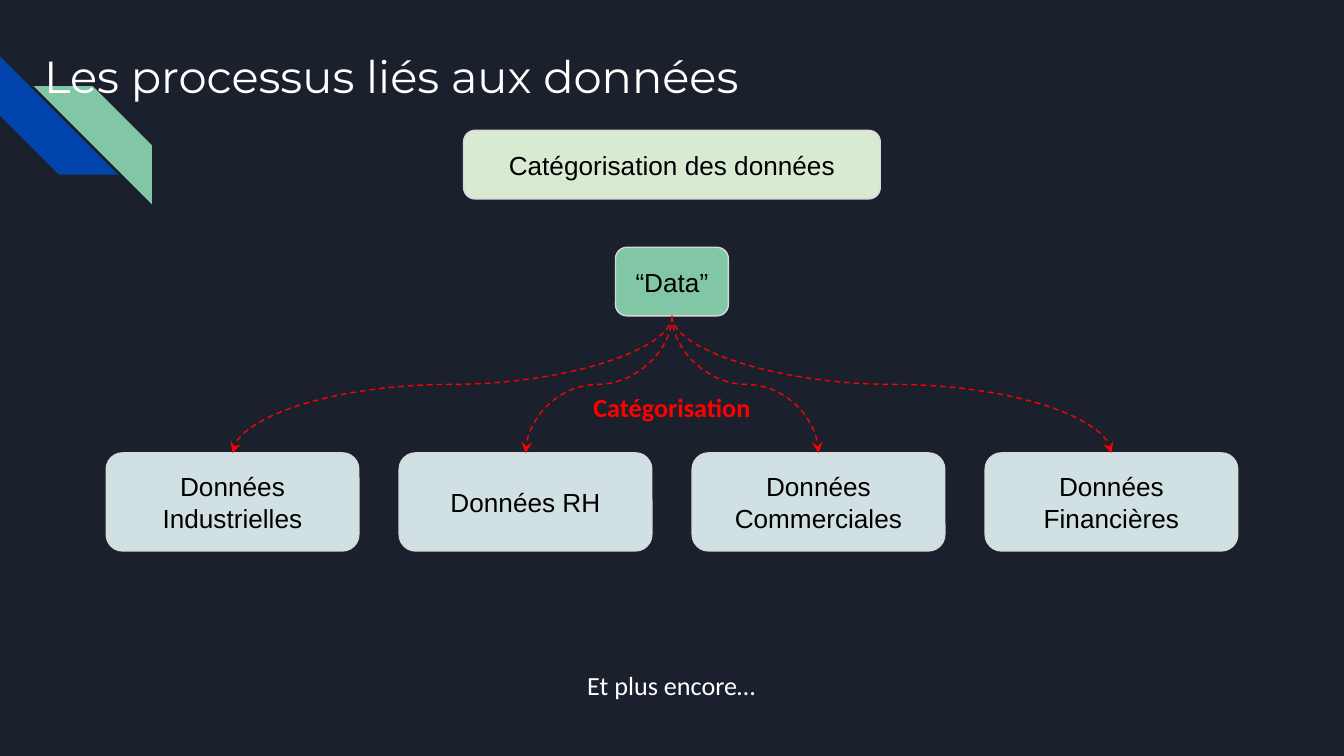
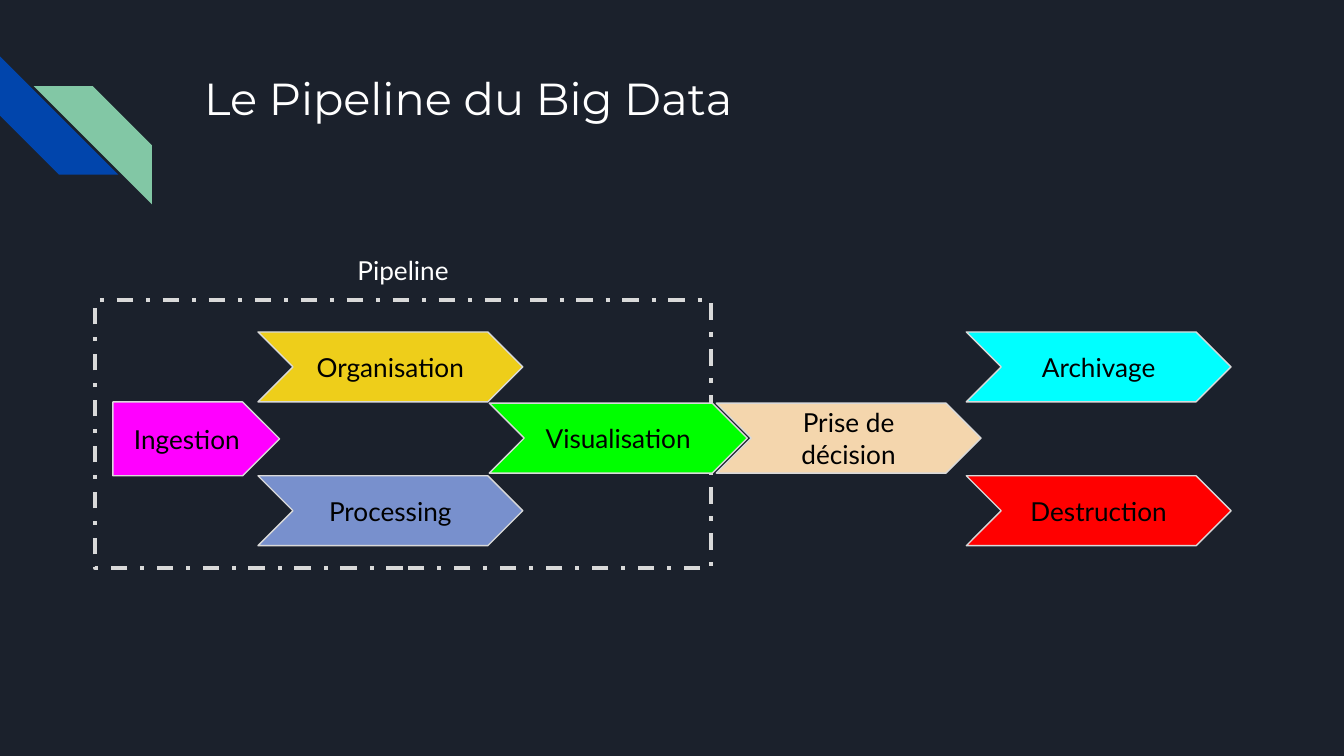
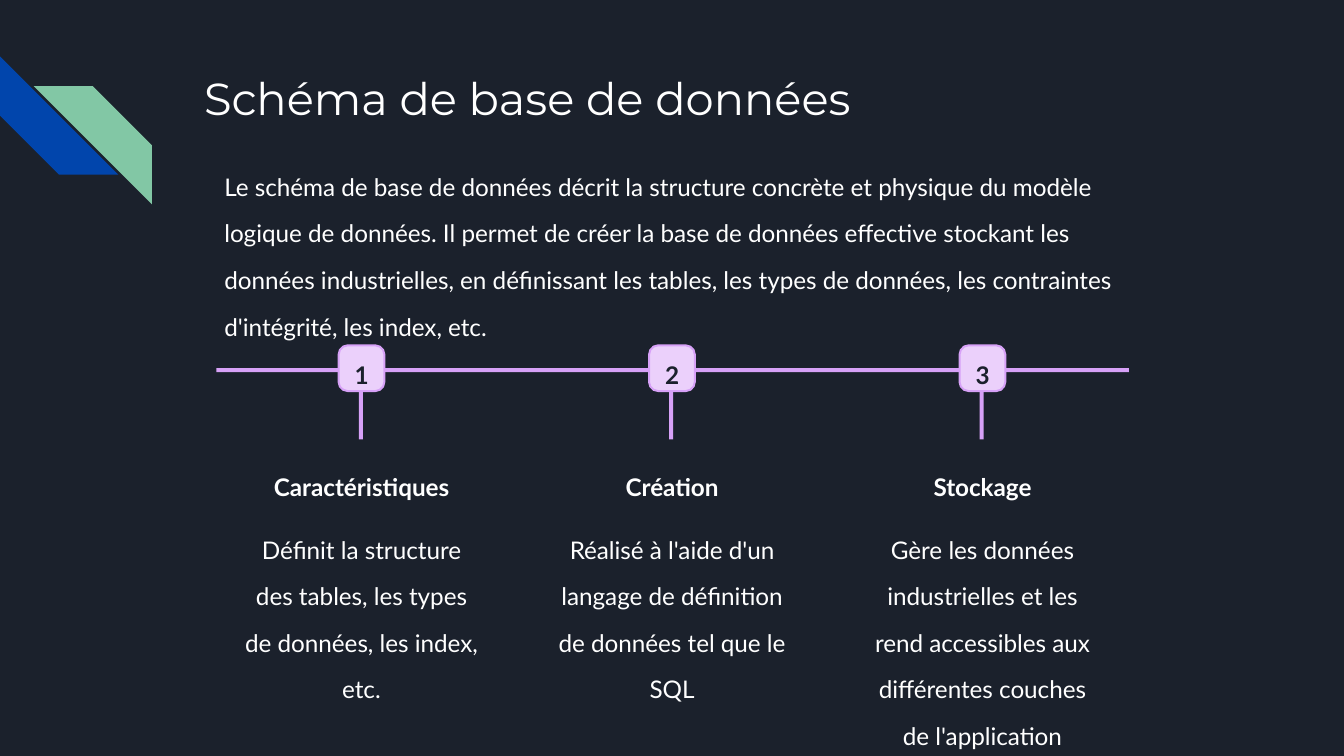
from dataclasses import dataclass
from typing import Any

from lxml import etree
from pptx import Presentation
from pptx import util as u
from pptx.dml import color
from pptx.enum import dml, shapes, text
from pptx.oxml import ns

KIND = shapes.MSO_SHAPE
DASH = dml.MSO_LINE
MID = text.MSO_ANCHOR.MIDDLE
TOP = text.MSO_ANCHOR.TOP
LEFT = text.PP_ALIGN.LEFT
MAIN = text.PP_ALIGN.CENTER

NIGHT, WHITE, BLACK = "1B212C", "FFFFFF", "000000"
BLUE, GREEN, GREY, RED = "0145AC", "82C7A5", "D9D9D9", "FF0000"
MAUVE, PALE = "D7A1F7", "EBD0FB"


@dataclass
class Font:
    name: str
    size: float = 14
    ink: str = WHITE
    bold: bool = False
    align: Any = MAIN
    space: float = 1.0
    pad: tuple = (0.1, 0.1)


@dataclass
class Box:
    left: float
    top: float
    width: float
    height: float
    label: str = ""
    kind: Any = KIND.RECTANGLE
    fill: str = ""
    edge: str = ""
    weight: float = 0.75
    dash: Any = None
    round: float = 0.0


@dataclass
class Step:
    title: str
    body: str
    height: float = 0.73


TITLE = Font("Montserrat", 24, align=LEFT)
ARIAL = Font("Arial", ink=BLACK)
LATO = Font("Lato", ink=BLACK)
SMALL = (0.06, 0.03)
INTRO = Font("Lato", 13, align=LEFT, space=1.6, pad=SMALL)
BODY = Font("Lato", 13, space=1.6, pad=SMALL)
HEAD = Font("Lato", 13, bold=True, space=1.25, pad=SMALL)
DIGIT = Font("Lato", 13, NIGHT, True, space=1.25, pad=SMALL)


def rgb(code: str) -> color.RGBColor:
    return color.RGBColor.from_string(code)


def apply(item: Any, values: dict) -> None:
    for name, value in values.items():
        setattr(item, name, value)


def place(box: Box) -> list:
    return [u.Inches(n) for n in (box.left, box.top, box.width, box.height)]


def write(shape: Any, label: str, font: Font, anchor: Any) -> None:
    frame = shape.text_frame
    wide, high = (u.Inches(n) for n in font.pad)
    apply(frame, {
        "word_wrap": True, "vertical_anchor": anchor,
        "margin_left": wide, "margin_right": wide,
        "margin_top": high, "margin_bottom": high,
    })
    para = frame.paragraphs[0]
    run = para.add_run()
    run.text = label
    apply(para, {"alignment": font.align, "line_spacing": font.space})
    apply(run.font, {"name": font.name, "size": u.Pt(font.size), "bold": font.bold})
    run.font.color.rgb = rgb(font.ink)


def draw(slide: Any, box: Box, font: Font = LATO) -> Any:
    shape = slide.shapes.add_shape(box.kind, *place(box))
    shape.shadow.inherit = False
    if box.fill:
        shape.fill.solid()
        shape.fill.fore_color.rgb = rgb(box.fill)
    else:
        shape.fill.background()
    if box.edge:
        shape.line.color.rgb = rgb(box.edge)
        apply(shape.line, {"width": u.Pt(box.weight), "dash_style": box.dash})
    else:
        shape.line.fill.background()
    if box.round:
        shape.adjustments[0] = box.round
    if box.label:
        write(shape, box.label, font, MID)
    return shape


def note(slide: Any, box: Box, font: Font) -> None:
    write(slide.shapes.add_textbox(*place(box)), box.label, font, TOP)


def curve(slide: Any, start: Any, end: Any) -> None:
    line = slide.shapes.add_connector(shapes.MSO_CONNECTOR.CURVE, 0, 0, 0, 0)
    line.begin_connect(start, 2)
    line.end_connect(end, 0)
    x, y = start.left + start.width // 2, start.top + start.height
    span, drop = end.left + end.width // 2 - x, end.top - y
    wide = abs(span)
    apply(line, {
        "left": x + (span - drop) // 2, "top": y + (drop - wide) // 2,
        "width": drop, "height": wide,
    })
    props = line._element.spPr
    turn, flip = ("5400000", "0") if span < 0 else ("16200000", "1")
    for name, value in {"rot": turn, "flipH": flip, "flipV": "0"}.items():
        props.xfrm.set(name, value)
    line.line.color.rgb = rgb(RED)
    apply(line.line, {"width": u.Pt(0.75), "dash_style": DASH.DASH})
    etree.SubElement(props.find(ns.qn("a:ln")), ns.qn("a:tailEnd"), type="stealth")
    etree.SubElement(props, ns.qn("a:effectLst"))


def start(deck: Any, title: str, left: float = 1.42, top: float = 0.43,
          width: float = 7.7, height: float = 1) -> Any:
    slide = deck.slides.add_slide(deck.slide_layouts[6])
    stripe = KIND.DIAGONAL_STRIPE
    blue = draw(slide, Box(0, 0.42, 0.88, 0.88, kind=stripe, fill=BLUE))
    blue.rotation = 270
    green = draw(slide, Box(0.25, 0.64, 0.88, 0.88, kind=stripe, fill=GREEN))
    green._element.spPr.xfrm.set("flipH", "1")
    note(slide, Box(left, top, width, height, title), TITLE)
    return slide


def sorts(deck: Any) -> None:
    slide = start(deck, "Les processus liés aux données", 0.23, 0.26, 8.21, 1.04)
    pill = KIND.ROUNDED_RECTANGLE
    draw(slide, Box(3.45, 0.97, 3.1, 0.51, "Catégorisation des données",
                    pill, "D9EAD3", GREY), ARIAL)
    data = draw(slide, Box(4.58, 1.84, 0.84, 0.51, "“Data”", pill, GREEN, GREY), ARIAL)
    for i, name in enumerate(("Industrielles", "RH", "Commerciales", "Financières")):
        leaf = draw(slide, Box(0.79 + 2.18 * i, 3.37, 1.88, 0.73, f"Données {name}",
                               pill, "D0E0E3", GREY), ARIAL)
        curve(slide, data, leaf)
    note(slide, Box(3.43, 4.88, 3.13, 0.44, "Et plus encore…"), Font("Calibri"))
    note(slide, Box(3.97, 2.81, 2.06, 0.44, "Catégorisation"),
         Font("Calibri", ink=RED, bold=True))


def flow(deck: Any) -> None:
    slide = start(deck, "Le Pipeline du Big Data")
    draw(slide, Box(0.71, 2.23, 4.58, 2, edge=GREY, weight=2.25, dash=DASH.DASH_DOT))
    note(slide, Box(1.5, 1.79, 3, 0.44, "Pipeline"), Font("Lato"))
    draw(slide, Box(0.84, 2.99, 1.24, 0.55, "Ingestion", KIND.PENTAGON, "FF00FF", GREY))
    high, mid, low = 2.47, 3, 3.54
    for left, top, width, label, fill in (
        (1.92, high, 1.97, "Organisation", "EECE1A"),
        (1.92, low, 1.97, "Processing", "7890CD"),
        (3.64, mid, 1.92, "Visualisation", "00FF00"),
        (5.33, mid, 1.97, "Prise de décision", "F4D6AD"),
        (7.19, high, 1.97, "Archivage", "00FFFF"),
        (7.19, low, 1.97, "Destruction", RED),
    ):
        draw(slide, Box(left, top, width, 0.52, label, KIND.CHEVRON, fill, GREY))


def schema(deck: Any) -> None:
    slide = start(deck, "Schéma de base de données")
    note(slide, Box(1.61, 1.12, 6.79, 0.73,
                    "Le schéma de base de données décrit la structure concrète et "
                    "physique du modèle logique de données. Il permet de créer la base "
                    "de données effective stockant les données industrielles, en "
                    "définissant les tables, les types de données, les contraintes "
                    "d'intégrité, les index, etc."), INTRO)
    draw(slide, Box(1.61, 2.74, 6.79, 0.03, fill=MAUVE))
    steps = (
        Step("Caractéristiques", "Définit la structure des tables, les types de "
             "données, les index, etc."),
        Step("Création", "Réalisé à l'aide d'un langage de définition de données "
             "tel que le SQL"),
        Step("Stockage", "Gère les données industrielles et les rend accessibles "
             "aux différentes couches de l'application", 0.97),
    )
    for i, step in enumerate(steps):
        mid = 2.69 + 2.31 * i
        draw(slide, Box(mid - 0.02, 2.74, 0.03, 0.53, fill=MAUVE))
        draw(slide, Box(mid - 0.17, 2.57, 0.34, 0.34, kind=KIND.ROUNDED_RECTANGLE,
                        fill=PALE, edge=MAUVE, weight=1.09, round=0.2))
        note(slide, Box(mid - 0.11, 2.6, 0.13, 0.28, str(i + 1)), DIGIT)
        note(slide, Box(mid - 0.76, 3.43, 1.52, 0.24, step.title), HEAD)
        note(slide, Box(mid - 0.93, 3.82, 1.86, step.height, step.body), BODY)


def main() -> None:
    deck = Presentation()
    wide = u.Inches(10)
    apply(deck, {"slide_width": wide, "slide_height": wide * 9 // 16})
    back = deck.slide_master.background.fill
    back.solid()
    back.fore_color.rgb = rgb(NIGHT)
    for build in (sorts, flow, schema):
        build(deck)
    deck.save("out.pptx")


if __name__ == "__main__":
    main()
